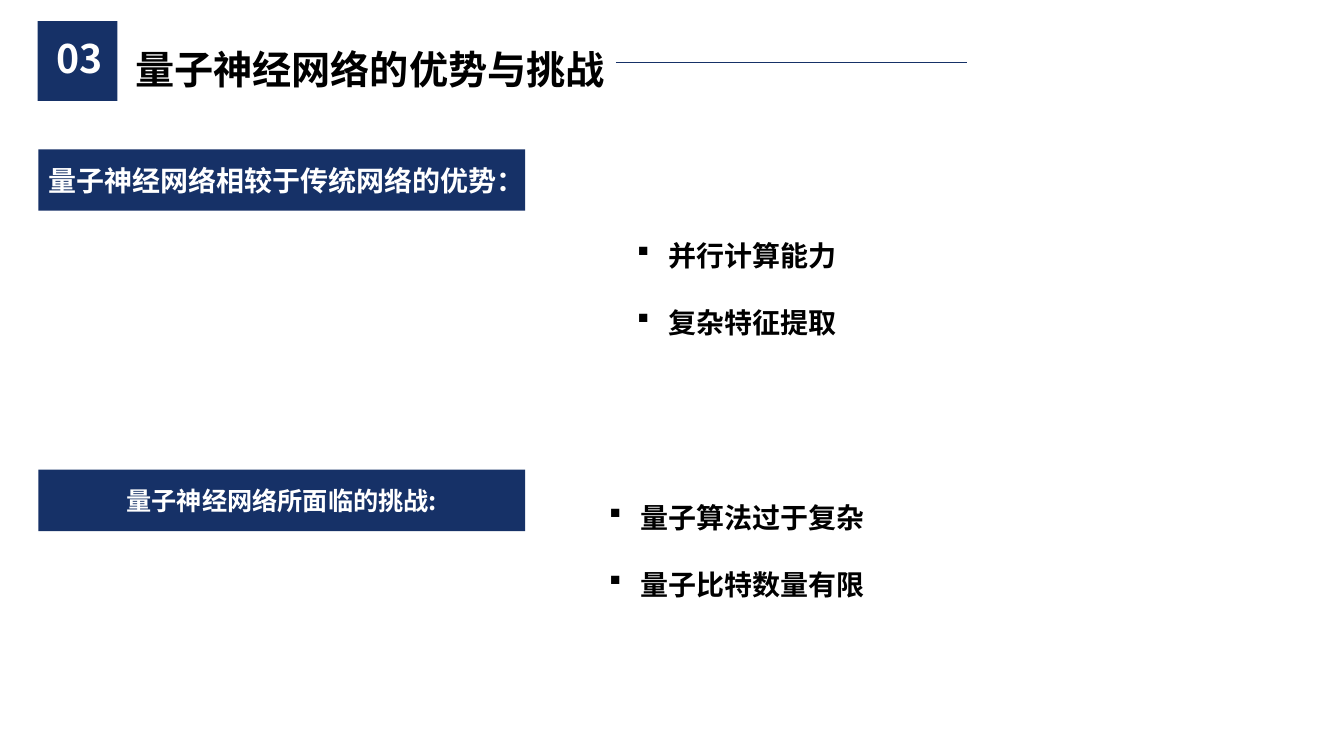
"""Build the slide on advantages and challenges of quantum neural networks."""
from lxml import etree
from pptx import Presentation
from pptx.dml.color import RGBColor
from pptx.enum.shapes import MSO_CONNECTOR, MSO_SHAPE
from pptx.enum.text import MSO_ANCHOR, MSO_AUTO_SIZE, PP_ALIGN
from pptx.oxml.ns import qn
from pptx.util import Pt

RECTANGLE = MSO_SHAPE.RECTANGLE
STRAIGHT = MSO_CONNECTOR.STRAIGHT
TOP, MIDDLE = MSO_ANCHOR.TOP, MSO_ANCHOR.MIDDLE
LEFT, CENTER = PP_ALIGN.LEFT, PP_ALIGN.CENTER
NO_AUTOFIT = MSO_AUTO_SIZE.NONE
FONT = "Noto Sans CJK SC"
NAVY, WHITE, BLACK = "163167", "FFFFFF", "000000"


def rgb(hex_color):
    return RGBColor.from_string(hex_color)


def write(paragraph, wording, size, color, align):
    paragraph.alignment = align
    run = paragraph.add_run()
    run.text = wording
    run.font.size = Pt(size)
    run.font.bold = True
    run.font.name = FONT
    run.font.color.rgb = rgb(color)
    etree.SubElement(run.font._element, qn("a:ea"), typeface=FONT)


prs = Presentation()
prs.slide_width, prs.slide_height = Pt(960), Pt(540)
slide = prs.slides.add_slide(prs.slide_layouts[3])
heading, advantages, challenges = slide.placeholders

heading.left, heading.top, heading.width, heading.height = Pt(89.3), Pt(9.7), Pt(350.7), Pt(60.5)
heading.text_frame.auto_size = NO_AUTOFIT
heading.text_frame.vertical_anchor = TOP
heading.text_frame.margin_right = 0
heading.text_frame.paragraphs[0].line_spacing = Pt(52.5)
write(heading.text_frame.paragraphs[0], "量子神经网络的优势与挑战", 28, BLACK, LEFT)

rule = slide.shapes.add_connector(STRAIGHT, Pt(440), Pt(44.6), Pt(690.5), Pt(44.6))
rule.line.color.rgb = rgb(NAVY)
rule.line.width = Pt(0.5)
etree.SubElement(rule._element.spPr, qn("a:effectLst"))

banners = [
    ("03", 26.8, 15.1, 57, 57, 28, CENTER, (2.8, 4.5)),
    ("量子神经网络相较于传统网络的优势：", 27.4, 106.6, 347.8, 43.9, 20, LEFT, (7.2, 0)),
    ("量子神经网络所面临的挑战:", 27.4, 335.5, 347.8, 43.9, 18, CENTER, (0, 0)),
]
for wording, left, top, width, height, size, align, (inset_left, inset_bottom) in banners:
    banner = slide.shapes.add_shape(RECTANGLE, Pt(left), Pt(top), Pt(width), Pt(height))
    banner.shadow.inherit = False
    banner.fill.solid()
    banner.fill.fore_color.rgb = rgb(NAVY)
    banner.line.fill.background()
    frame = banner.text_frame
    frame.vertical_anchor = MIDDLE
    frame.margin_left, frame.margin_bottom = Pt(inset_left), Pt(inset_bottom)
    frame.margin_right = frame.margin_top = 0
    write(frame.paragraphs[0], wording, size, WHITE, align)

point_lists = [
    (advantages, 142.5, ["并行计算能力", "复杂特征提取"]),
    (challenges, 329.7, ["量子算法过于复杂", "量子比特数量有限"]),
]
for body, top, points in point_lists:
    body.left, body.top, body.width, body.height = Pt(325.4), Pt(top), Pt(401.8), Pt(104)
    frame = body.text_frame
    frame.auto_size = NO_AUTOFIT
    frame.vertical_anchor = TOP
    for index, point in enumerate(points):
        paragraph = frame.add_paragraph() if index else frame.paragraphs[0]
        properties = paragraph._p.get_or_add_pPr()
        properties.set("marL", str(Pt(22.5)))
        properties.set("indent", str(-Pt(22.5)))
        etree.SubElement(properties, qn("a:buFont"), typeface="Wingdings", charset="2")
        etree.SubElement(properties, qn("a:buChar"), char="§")
        paragraph.line_spacing = Pt(48)
        paragraph.space_before = Pt(0)
        write(paragraph, point, 20, BLACK, CENTER)

prs.save("out.pptx")
